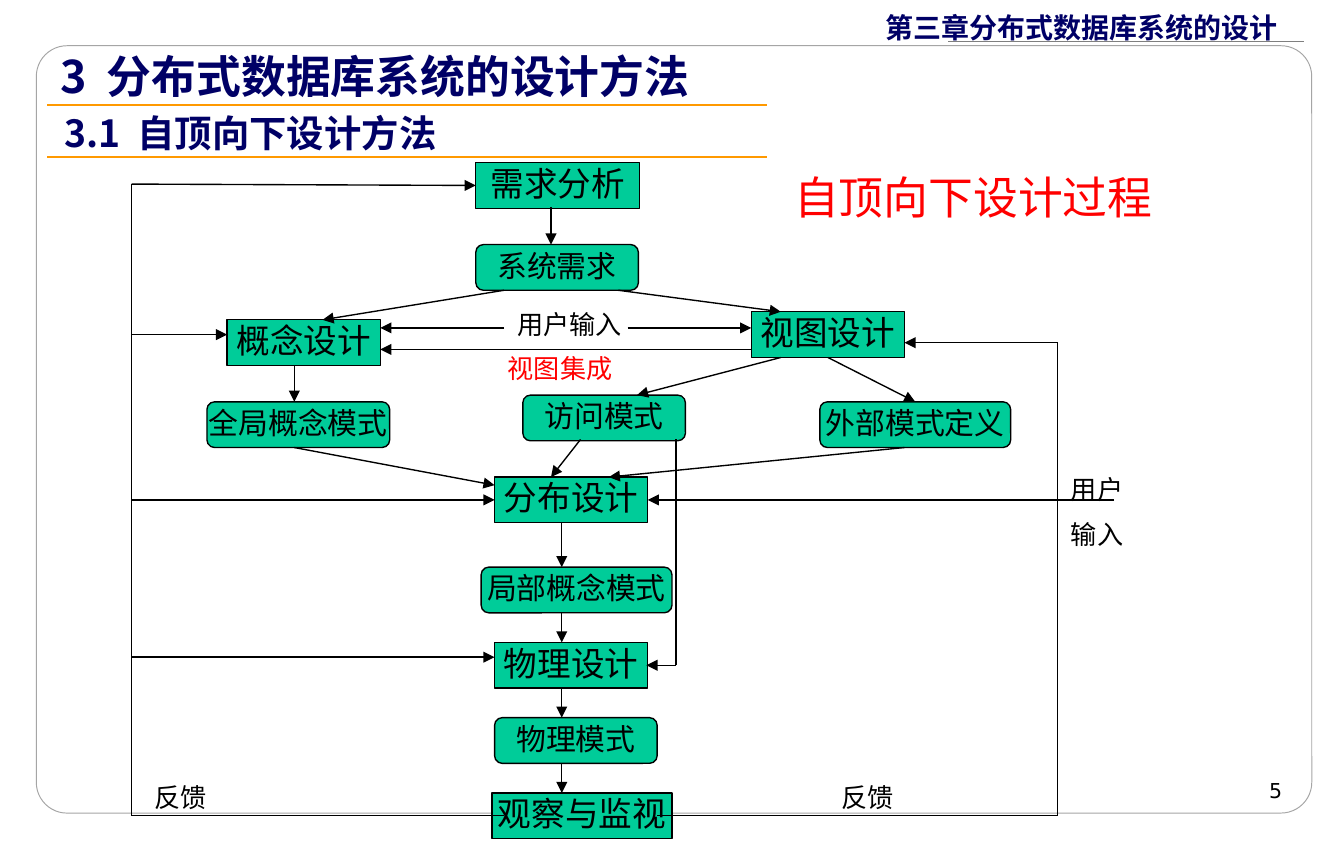
import pptx
import pptx.util
import pptx.dml.color
import pptx.enum.shapes
import pptx.enum.text
import pptx.oxml.ns
from lxml import etree

Inches, Pt = pptx.util.Inches, pptx.util.Pt
RGB = pptx.dml.color.RGBColor.from_string
SHAPE = pptx.enum.shapes.MSO_SHAPE
ALIGN = pptx.enum.text.PP_ALIGN
qn = pptx.oxml.ns.qn

THEME = {
    "ink": "000000", "navy": "000066", "red": "FF0000", "green": "00CC99",
    "orange": "FF9900", "frame": "A5A5A5", "rule": "7F7F7F", "paper": "FFFFFF",
    "serif": "Times New Roman", "sans": "Noto Sans CJK SC", "number": "DejaVu Sans",
    "title": 24, "subtitle": 20, "step": 18, "result": 16, "header": 15,
    "note": 14, "page": 11,
}

deck = pptx.Presentation()
deck.slide_width, deck.slide_height = Inches(10), Inches(6.28)
slide = deck.slides.add_slide(deck.slide_layouts[6])


def style_text(paragraph, size, color="ink", font="serif", bold=False):
    for run in paragraph.runs:
        run.font.size = Pt(THEME[size])
        run.font.name = THEME[font]
        run.font.bold = bold
        run.font.color.rgb = RGB(THEME[color])
        east_asian = etree.SubElement(run.font._element, qn("a:ea"))
        east_asian.set("typeface", THEME["sans"])


def draw_line(start, end, color="ink", width=0.75, arrow=False):
    """Each end is a point (x, y) or a joined side (box, site)."""
    joined = [not isinstance(place[0], (int, float)) for place in (start, end)]
    points = [(0, 0) if is_box else place for is_box, place in zip(joined, (start, end))]
    line = slide.shapes.add_connector(
        pptx.enum.shapes.MSO_CONNECTOR.STRAIGHT,
        *[Inches(value) for point in points for value in point])
    if joined[0]:
        line.begin_connect(*start)
    if joined[1]:
        line.end_connect(*end)
    line.line.color.rgb = RGB(THEME[color])
    line.line.width = Pt(width)
    if arrow:
        etree.SubElement(line.line._get_or_add_ln(), qn("a:tailEnd")).set("type", "triangle")
    etree.SubElement(line._element.spPr, qn("a:effectLst"))


# Page frame and header rule
frame = slide.shapes.add_shape(
    SHAPE.ROUNDED_RECTANGLE, Inches(0.27), Inches(0.34), Inches(9.49), Inches(5.71))
frame.adjustments[0] = 0.04
frame.shadow.inherit = False
frame.fill.solid()
frame.fill.fore_color.rgb = RGB(THEME["paper"])
paper = frame._element.spPr.find(qn("a:solidFill"))[0]
etree.SubElement(paper, qn("a:alpha")).set("val", "85000")
frame.line.color.rgb = RGB(THEME["frame"])
frame.line.width = Pt(0.5)
draw_line((9.7, 0.31), (7.05, 0.31), "rule")

# Title rules
for y in (0.78, 1.17):
    draw_line((0.35, y), (5.71, y), "orange", 1)

# Design steps (rectangles) and their results (rounded)
boxes = {}
for kind, outline, size, members in (
    ("step", SHAPE.RECTANGLE, "step", (
        ("需求分析", 3.54, 1.21, 1.22), ("概念设计", 1.69, 2.38, 1.14),
        ("视图设计", 5.59, 2.32, 1.14), ("分布设计", 3.68, 3.55, 1.14),
        ("物理设计", 3.68, 4.78, 1.14), ("观察与监视", 3.66, 5.9, 1.34))),
    ("result", SHAPE.ROUNDED_RECTANGLE, "result", (
        ("系统需求", 3.54, 1.82, 1.21), ("全局概念模式", 1.54, 2.99, 1.36),
        ("访问模式", 3.89, 2.94, 1.21), ("外部模式定义", 6.1, 2.99, 1.42),
        ("局部概念模式", 3.58, 4.22, 1.42), ("物理模式", 3.68, 5.34, 1.21))),
):
    for name, left, top, width in members:
        box = slide.shapes.add_shape(
            outline, Inches(left), Inches(top), Inches(width), Inches(0.34))
        box.shadow.inherit = False
        box.fill.solid()
        box.fill.fore_color.rgb = RGB(THEME["green"])
        box.line.color.rgb = RGB(THEME["ink"])
        box.line.width = Pt(0.75)
        box.text_frame.text = name
        box.text_frame.word_wrap = False
        box.text_frame.vertical_anchor = pptx.enum.text.MSO_ANCHOR.MIDDLE
        label = box.text_frame.paragraphs[0]
        label.alignment = ALIGN.CENTER
        label.line_spacing = 0.9
        style_text(label, size)
        boxes[name] = box

# Main flow, user input and feedback arrows
feedback_left, feedback_right, feedback_bottom = 0.98, 7.87, 6.07
spine = 4.18
arrows = [
    ((4.1, 1.54), (4.1, 1.82)),
    ((3.75, 2.16), (2.4, 2.38)),
    ((4.6, 2.16), (5.81, 2.32)),
    ((4.67, 2.44), (5.59, 2.44)),
    ((3.75, 2.44), (2.83, 2.44)),
    ((5.59, 2.6), (2.83, 2.6)),
    ((5.81, 2.66), (4.74, 2.94)),
    ((6.16, 2.66), (boxes["外部模式定义"], 0)),
    ((2.19, 2.72), (2.19, 2.99)),
    ((2.19, 3.33), (3.68, 3.61)),
    ((4.32, 3.27), (4.1, 3.55)),
    ((6.73, 3.33), (4.53, 3.55)),
    ((feedback_left, 1.37), (boxes["需求分析"], 1)),
    ((feedback_left, 2.49), (1.69, 2.49)),
    ((feedback_left, 3.72), (boxes["分布设计"], 1)),
    ((feedback_left, 4.89), (3.68, 4.89)),
    ((5.03, 4.95), (4.81, 4.95)),
    ((feedback_right, 2.55), (6.73, 2.55)),
    ((8.29, 3.72), (boxes["分布设计"], 3)),
]
arrows += [((spine, top), (spine, bottom)) for top, bottom in (
    (3.89, 4.22), (4.56, 4.78), (5.12, 5.34), (5.68, 5.9))]
for start, end in arrows:
    draw_line(start, end, arrow=True)

for start, end in (
    ((3.75, feedback_bottom), (feedback_left, feedback_bottom)),
    ((feedback_left, feedback_bottom), (feedback_left, 1.37)),
    ((5.03, 3.27), (5.03, 4.95)),
    ((4.89, feedback_bottom), (feedback_right, feedback_bottom)),
    ((feedback_right, feedback_bottom), (feedback_right, 2.55)),
):
    draw_line(start, end)

# Diagram notes
for text, left, top, width, height, size, color in (
    ("用户输入", 3.75, 2.27, 0.99, 0.31, "note", "ink"),
    ("视图集成", 3.68, 2.6, 1.2, 0.31, "note", "red"),
    ("用户\n输入", 7.87, 3.5, 0.99, 0.64, "note", "ink"),
    ("反馈", 6.16, 5.79, 0.99, 0.31, "note", "ink"),
    ("反馈", 1.05, 5.79, 0.99, 0.31, "note", "ink"),
    ("自顶向下设计过程", 5.81, 1.26, 2.91, 0.46, "title", "red"),
):
    note = slide.shapes.add_textbox(
        Inches(left), Inches(top), Inches(width), Inches(height)).text_frame
    note.word_wrap = True
    note.text = text
    for index, paragraph in enumerate(note.paragraphs):
        paragraph.line_spacing = 0.9
        if index:
            paragraph.space_before = Pt(8.8)
        style_text(paragraph, size, color)

# Titles, header and page number
for parts, left, top, width, height, size, color, font, align in (
    (("3", " ", "分布式数据库系统的设计方法"),
     0.35, 0.31, 5, 0.5, "title", "navy", "sans", ALIGN.LEFT),
    (("3.1", " ", "自顶向下设计方法"),
     0.38, 0.77, 5.8, 0.44, "subtitle", "navy", "sans", ALIGN.LEFT),
    (("第三章分布式数据库系统的设计",),
     6.5, 0.03, 3.15, 0.34, "header", "navy", "serif", ALIGN.LEFT),
    (("5",), 7.13, 5.74, 2.5, 0.23, "page", "ink", "number", ALIGN.RIGHT),
):
    heading = slide.shapes.add_textbox(
        Inches(left), Inches(top), Inches(width), Inches(height)).text_frame
    heading.word_wrap = True
    heading.margin_left = heading.margin_right = Inches(0.1 if len(parts) > 1 else 0.09)
    paragraph = heading.paragraphs[0]
    paragraph.alignment = align
    for part in parts:
        run = paragraph.add_run()
        run.text = part
        if part == " ":  # widen the gap after the section number
            run.font._element.set("spc", str(round(THEME[size] * 22.4)))
    style_text(paragraph, size, color, font, bold=size != "page")

deck.save("out.pptx")
